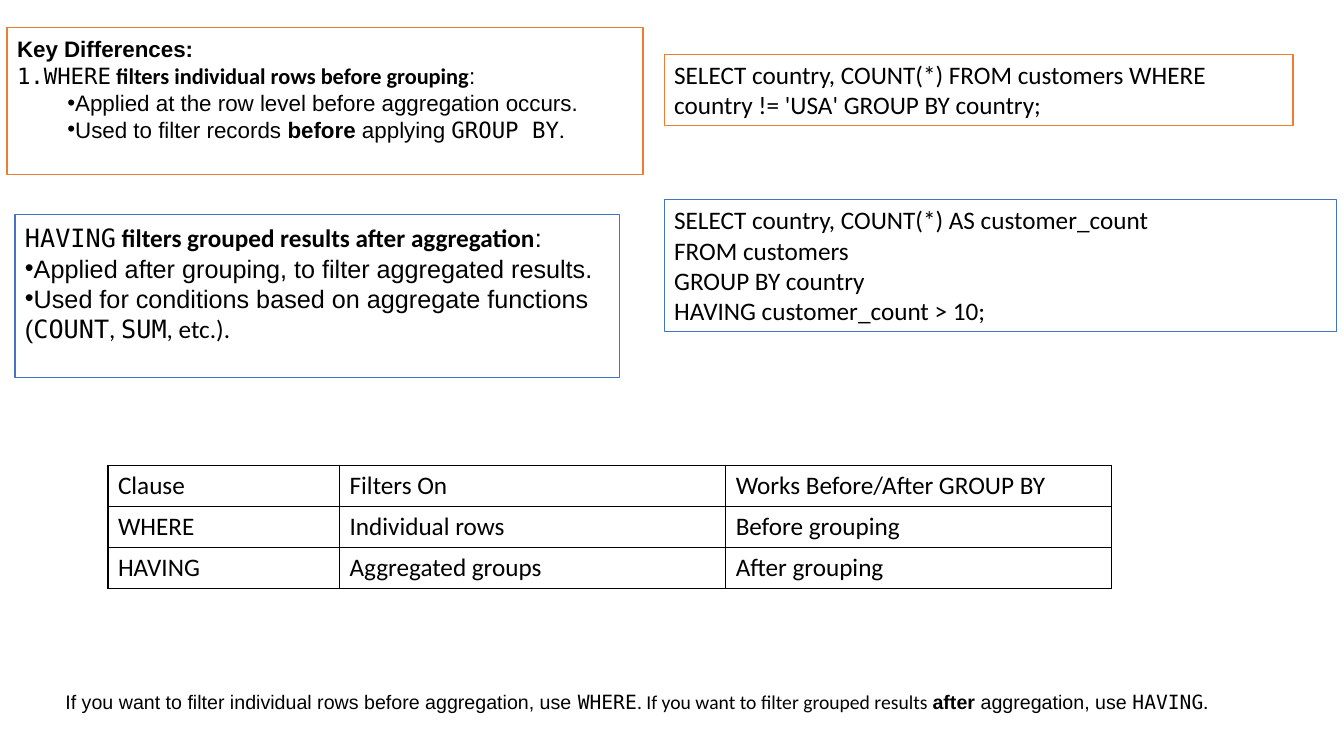
import pptx
import pptx.dml.color
import pptx.enum.shapes
import pptx.enum.text
import pptx.oxml
import pptx.oxml.ns
import pptx.util
from pptx.util import Cm

BLACK, WHITE = "000000", "FFFFFF"
WHERE_COLOR, HAVING_COLOR = "ED7D31", "4472C4"
SANS, BODY, MONO = "Arial", "Calibri", "DejaVu Sans Mono"
ANCHOR = pptx.enum.text.MSO_ANCHOR
NAMESPACE = pptx.oxml.ns.nsdecls("a")


def color(value):
    return pptx.dml.color.RGBColor.from_string(value)


def add_text(paragraph, text, size=18, font=BODY, bold=False):
    run = paragraph.add_run()
    run.text = text
    run.font.size = pptx.util.Pt(size)
    run.font.name = font
    run.font.bold = bold
    run.font.color.rgb = color(BLACK)


def add_bullet(paragraph, marker, indent=0):
    properties = paragraph._p.get_or_add_pPr()
    properties.set("marL", str(Cm(indent)))
    properties.set("indent", "0")
    if marker == "1.":
        tags = ['<a:buFont typeface="+mj-lt"/>', '<a:buAutoNum type="arabicPeriod"/>']
    else:
        tags = [f'<a:buFont typeface="{SANS}"/>', f'<a:buChar char="{marker}"/>']
    for tag in tags:
        properties.append(pptx.oxml.parse_xml(tag.replace("/>", f" {NAMESPACE}/>")))


def fill_text(frame, lines, size, anchor):
    """Each line is (marker, indent in cm, [(text, font, bold), ...])."""
    frame.word_wrap = True
    frame.vertical_anchor = anchor
    for index, (marker, indent, runs) in enumerate(lines):
        paragraph = frame.add_paragraph() if index else frame.paragraphs[0]
        paragraph.alignment = pptx.enum.text.PP_ALIGN.LEFT
        if marker:
            paragraph.level = 1 if indent else 0
            add_bullet(paragraph, marker, indent)
        for text, font, bold in runs:
            add_text(paragraph, text, size=size, font=font, bold=bold)


def add_box(slide, box, outline, lines, size=18, top_inset=0.13):
    left, top, width, height = map(Cm, box)
    shape = slide.shapes.add_shape(
        pptx.enum.shapes.MSO_SHAPE.RECTANGLE, left, top, width, height)
    shape.shadow.inherit = False
    shape.fill.solid()
    shape.fill.fore_color.rgb = color(WHITE)
    shape.line.color.rgb = color(outline)
    shape.line.width = pptx.util.Pt(1)
    shape.text_frame.margin_top = Cm(top_inset)
    fill_text(shape.text_frame, lines, size, ANCHOR.TOP)


def add_query(slide, box, outline, statements):
    add_box(slide, box, outline,
            [("", 0, [(statement, BODY, False)]) for statement in statements])


def add_where_rules(slide, box):
    add_box(slide, box, WHERE_COLOR, [
        ("", 0, [("Key Differences:", SANS, True)]),
        ("1.", 0, [("WHERE", MONO, False),
                   (" filters individual rows before grouping", BODY, True),
                   (":", SANS, False)]),
        ("•", 1.27, [("Applied at the row level before aggregation occurs.", SANS, False)]),
        ("•", 1.27, [("Used to filter records ", SANS, False), ("before", SANS, True),
                     (" applying ", SANS, False), ("GROUP BY", MONO, False),
                     (".", BODY, False)]),
    ], size=16, top_inset=0.2)


def add_having_rules(slide, box):
    add_box(slide, box, HAVING_COLOR, [
        ("", 0, [("HAVING", MONO, False),
                 (" filters grouped results after aggregation", BODY, True),
                 (":", SANS, False)]),
        ("•", 0, [("Applied after grouping, to filter aggregated results.", SANS, False)]),
        ("•", 0, [("Used for conditions based on aggregate functions (", SANS, False),
                  ("COUNT", MONO, False), (", ", BODY, False),
                  ("SUM", MONO, False), (", etc.).", BODY, False)]),
    ], top_inset=0.2)


def add_comparison(slide, box):
    rows = [
        ("Clause", "Filters On", "Works Before/After GROUP BY"),
        ("WHERE", "Individual rows", "Before grouping"),
        ("HAVING", "Aggregated groups", "After grouping"),
    ]
    left, top, width, height = map(Cm, box)
    table = slide.shapes.add_table(len(rows), 3, left, top, width, height).table
    table.first_row = table.horz_banding = False
    for column, share in zip(table.columns, (3, 5, 5)):
        column.width = width * share // 13
    for row_index, texts in enumerate(rows):
        for column_index, text in enumerate(texts):
            cell = table.cell(row_index, column_index)
            # Thin black border on every side, ahead of the fill
            for side in ("lnL", "lnR", "lnT", "lnB"):
                cell._tc.get_or_add_tcPr().append(pptx.oxml.parse_xml(
                    f'<a:{side} {NAMESPACE} w="{pptx.util.Pt(1)}"><a:solidFill>'
                    f'<a:srgbClr val="{BLACK}"/></a:solidFill></a:{side}>'))
            cell.fill.solid()
            cell.fill.fore_color.rgb = color(WHITE)
            cell.vertical_anchor = ANCHOR.MIDDLE
            add_text(cell.text_frame.paragraphs[0], text)


def add_summary(slide, box):
    frame = slide.shapes.add_textbox(*map(Cm, box)).text_frame
    fill_text(frame, [("", 0, [
        ("If you want to filter individual rows before aggregation, use ", SANS, False),
        ("WHERE", MONO, False),
        (". If you want to filter grouped results ", BODY, False),
        ("after", SANS, True), (" aggregation, use ", SANS, False),
        ("HAVING", MONO, False), (".", BODY, False),
    ])], 14, ANCHOR.MIDDLE)


def main():
    presentation = pptx.Presentation()
    presentation.slide_width = Cm(33.87)
    presentation.slide_height = Cm(19.05)
    slide = presentation.slides.add_slide(presentation.slide_layouts[6])

    # Rules on the left, example queries on the right
    add_where_rules(slide, (0.18, 0.69, 16.03, 3.71))
    add_query(slide, (16.74, 1.37, 15.85, 1.8), WHERE_COLOR, [
        "SELECT country, COUNT(*) FROM customers WHERE country != 'USA' GROUP BY country;"])
    add_having_rules(slide, (0.38, 5.41, 15.24, 4.11))
    add_query(slide, (16.74, 5.03, 16.94, 3.33), HAVING_COLOR, [
        "SELECT country, COUNT(*) AS customer_count",
        "FROM customers",
        "GROUP BY country",
        "HAVING customer_count > 10;"])

    # Comparison table and closing sentence
    add_comparison(slide, (2.72, 11.73, 25.3, 3.05))
    add_summary(slide, (1.4, 17.25, 30.33, 0.86))
    presentation.save("out.pptx")


if __name__ == "__main__":
    main()
